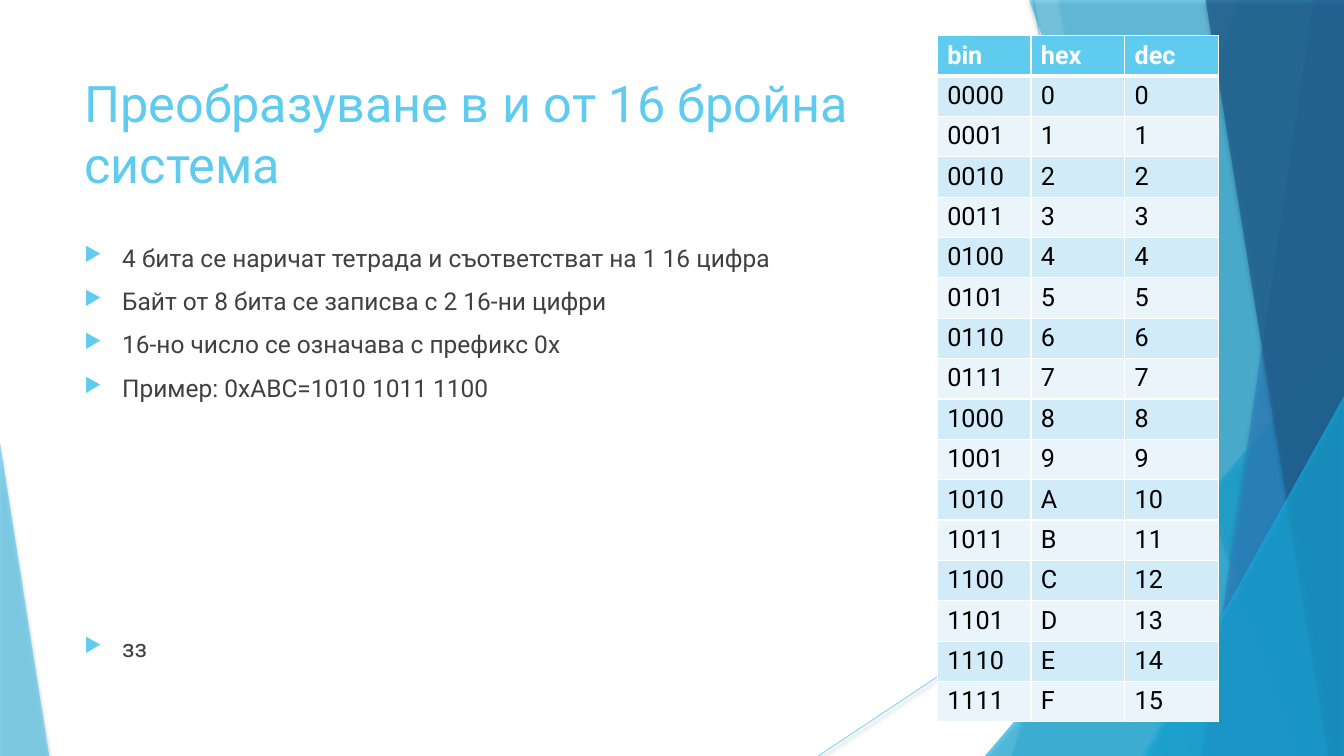
from dataclasses import dataclass

from lxml.etree import SubElement
from pptx import Presentation
from pptx.dml.color import RGBColor
from pptx.enum.shapes import MSO_CONNECTOR, MSO_SHAPE
from pptx.oxml.ns import qn
from pptx.util import Cm, Pt

FONT = "Roboto"
WIDTH, HEIGHT = 33.87, 19.05
COLORS = {
    "sky": "5FCBEF", "azure": "17B0E4", "blue": "2E83C3", "navy": "226292",
    "text": "404040", "black": "000000", "white": "FFFFFF",
    "band_dark": "D2EBF8", "band_light": "EAF5FB",
}


@dataclass
class Ray:
    x1: float
    y1: float
    x2: float
    y2: float


@dataclass
class Panel:
    """Trapezoid that runs from a slanted left edge to the slide's right edge."""
    top_x: float
    bottom_x: float
    color: str
    alpha: int


@dataclass
class Corner:
    """Triangle that stands on the slide's bottom edge."""
    left: float
    top: float
    width: float
    apex: float
    color: str
    alpha: int


RAYS = [Ray(26.04, 0, 29.41, HEIGHT), Ray(WIDTH, 10.24, 20.62, HEIGHT)]
FACETS = [
    Panel(31.19, 25.5, "sky", 36),
    Panel(26.67, 30.02, "sky", 20),
    Corner(24.82, 8.46, 9.05, 1, "azure", 66),
    Panel(25.93, 32.79, "azure", 50),
    Panel(33.1, 30.28, "blue", 70),
    Panel(30.38, 33.48, "navy", 80),
    Corner(28.82, 9.98, 5.05, 1, "azure", 66),
    Corner(0, 11.15, 1.24, 0, "sky", 70),
]
BULLETS = [
    "4 бита се наричат тетрада и съответстват на 1 16 цифра",
    "Байт от 8 бита се записва с 2 16-ни цифри",
    "16-но число се означава с префикс 0x",
    "Пример: 0xABC=1010 1011 1100",
    "зз",
]


def rgb(name: str) -> RGBColor:
    return RGBColor.from_string(COLORS[name])


def add_color(parent, name: str):
    return SubElement(parent, qn("a:srgbClr"), val=COLORS[name])


def set_alpha(color, percent: int) -> None:
    SubElement(color, qn("a:alpha"), val=str(percent * 1000))


def add_shadow(spPr, alpha: int, blur: float, dist: float) -> None:
    effects = SubElement(spPr, qn("a:effectLst"))
    shadow = SubElement(effects, qn("a:outerShdw"), blurRad=str(Pt(blur)),
                        dist=str(Pt(dist)), dir="5400000", rotWithShape="0")
    set_alpha(add_color(shadow, "black"), alpha)


def add_ray(s, ray: Ray) -> None:
    line = s.shapes.add_connector(MSO_CONNECTOR.STRAIGHT, Cm(ray.x1), Cm(ray.y1),
                                  Cm(ray.x2), Cm(ray.y2))
    line.line.width = Pt(0.75)
    line.line.color.rgb = rgb("sky")
    spPr = line._element.spPr
    set_alpha(spPr.find(".//" + qn("a:srgbClr")), 70)
    add_shadow(spPr, 38, 3.1, 1.6)


def add_facet(s, facet: Panel | Corner) -> None:
    if isinstance(facet, Panel):
        top = Cm(-0.02)
        builder = s.shapes.build_freeform(Cm(facet.top_x), top)
        builder.add_line_segments([(Cm(WIDTH), top), (Cm(WIDTH), Cm(HEIGHT)),
                                   (Cm(facet.bottom_x), Cm(HEIGHT))])
        sp = builder.convert_to_shape()
    else:
        sp = s.shapes.add_shape(MSO_SHAPE.ISOSCELES_TRIANGLE, Cm(facet.left), Cm(facet.top),
                                Cm(facet.width), Cm(HEIGHT - facet.top))
        sp.adjustments[0] = facet.apex
    sp.fill.solid()
    sp.fill.fore_color.rgb = rgb(facet.color)
    sp.line.fill.background()
    spPr = sp._element.spPr
    set_alpha(spPr.find(".//" + qn("a:srgbClr")), facet.alpha)
    add_shadow(spPr, 35, 3, 2)


def write(p, text: str, *, size: float, color: str, bold: bool = False,
          before: float = 0, bullet: str = "") -> None:
    r = p.add_run()
    r.text = text
    r.font.name = FONT
    r.font.size = Pt(size)
    r.font.bold = bold
    r.font.color.rgb = rgb(color)
    p.space_before = Pt(before)
    if bullet:
        pPr = p._p.get_or_add_pPr()
        pPr.set("marL", str(Cm(0.95)))
        pPr.set("indent", str(Cm(-0.95)))
        add_color(SubElement(pPr, qn("a:buClr")), "sky")
        SubElement(pPr, qn("a:buSzPct"), val="80000")
        SubElement(pPr, qn("a:buChar"), char=bullet)


def add_box(s, top: float, height: float):
    tf = s.shapes.add_textbox(Cm(1.88), Cm(top), Cm(23.88), Cm(height)).text_frame
    tf.word_wrap = True
    return tf


def style_cell(cell, fill: str, top: float, bottom: float) -> None:
    tcPr = cell._tc.get_or_add_tcPr()
    for side, width in (("L", 0.96), ("R", 0.96), ("T", top), ("B", bottom)):
        ln = SubElement(tcPr, qn(f"a:ln{side}"), w=str(Pt(width)))
        add_color(SubElement(ln, qn("a:solidFill")), "white")
    cell.fill.solid()
    cell.fill.fore_color.rgb = rgb(fill)


def add_number_table(s) -> None:
    rows = [("bin", "hex", "dec")] + [(f"{n:04b}", f"{n:X}", str(n)) for n in range(16)]
    table = s.shapes.add_table(len(rows), 3, Cm(23.62), Cm(0.9), Cm(7.08), Cm(17)).table
    for i, values in enumerate(rows):
        header = i == 0
        fill = "sky" if header else "band_dark" if i % 2 else "band_light"
        for j, value in enumerate(values):
            cell = table.cell(i, j)
            style_cell(cell, fill, top=3 if i == 1 else 0.96, bottom=3 if header else 0.96)
            write(cell.text_frame.paragraphs[0], value, size=18,
                  color="white" if header else "black", bold=header)


def main() -> None:
    prs = Presentation()
    prs.slide_width, prs.slide_height = Cm(WIDTH), Cm(HEIGHT)
    s = prs.slides.add_slide(prs.slide_layouts[6])

    # Background facets
    for ray in RAYS:
        add_ray(s, ray)
    for facet in FACETS:
        add_facet(s, facet)

    # Title
    tf = add_box(s, 1.7, 3.66)
    write(tf.paragraphs[0], "Преобразуване в и от 16 бройна система", size=36, color="sky")

    # Bullets, the last one set well below the others
    tf = add_box(s, 5.99, 10.77)
    for i, text in enumerate(BULLETS):
        p = tf.add_paragraph() if i else tf.paragraphs[0]
        before = 165 if i == len(BULLETS) - 1 else 10 if i else 0
        write(p, text, size=17.5, color="text", before=before, bullet="▶")

    # Table of the 16 hexadecimal digits
    add_number_table(s)
    prs.save("out.pptx")


if __name__ == "__main__":
    main()
